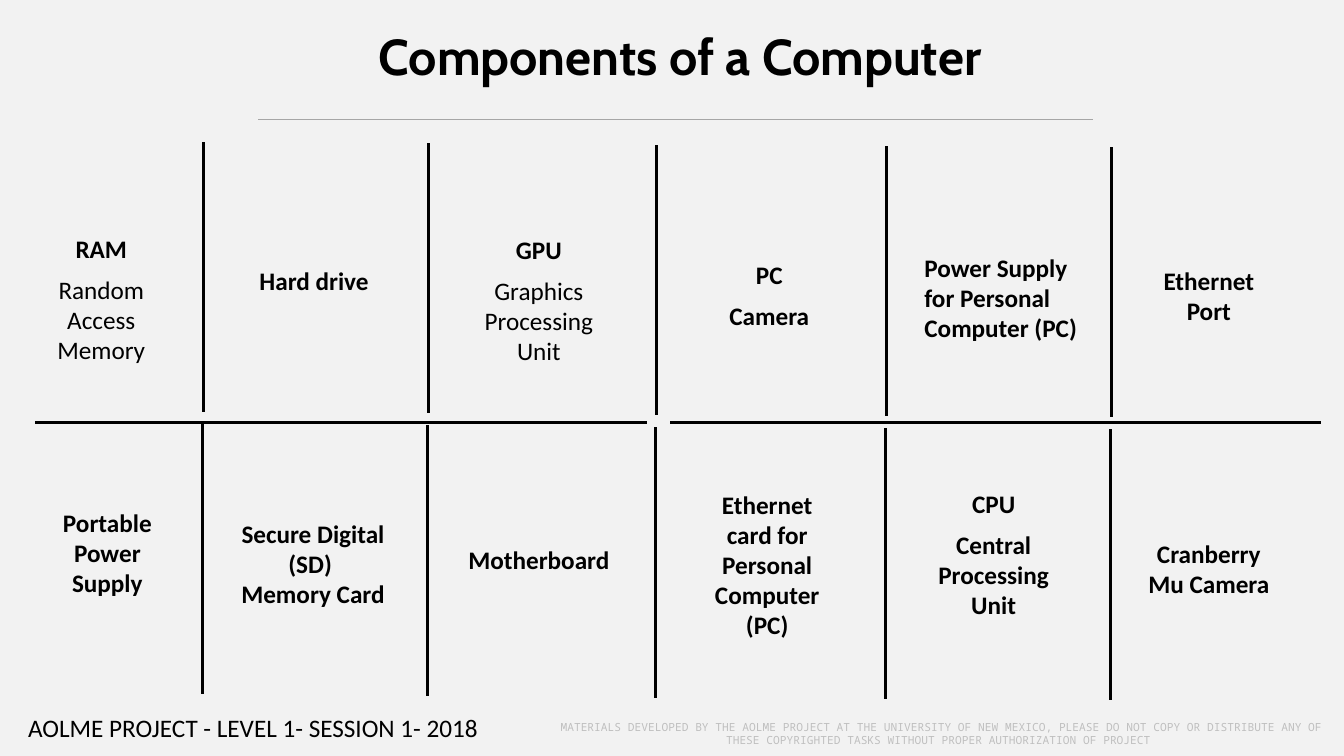
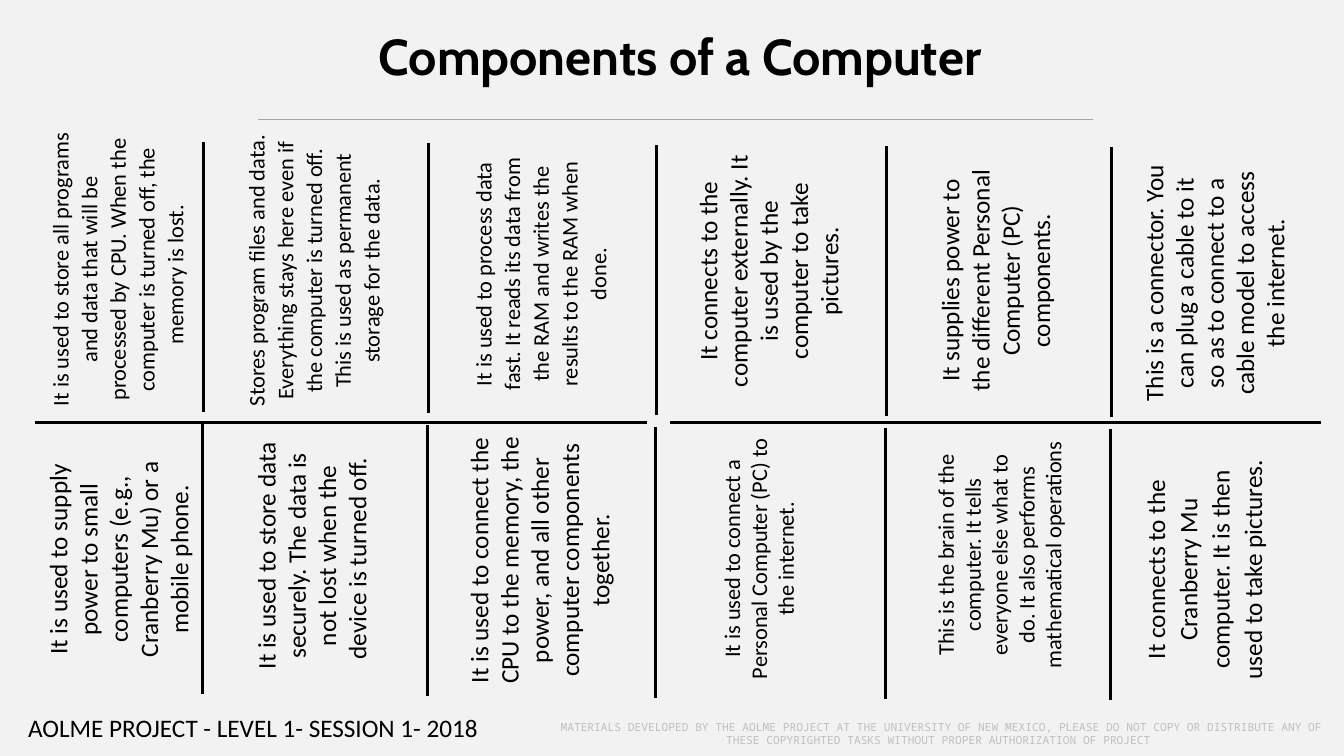
"""Builds two slides that name and describe the components of a computer."""
from pptx import Presentation
from pptx.dml.color import RGBColor
from pptx.enum.shapes import MSO_CONNECTOR
from pptx.enum.text import MSO_ANCHOR, MSO_AUTO_SIZE, PP_ALIGN
from pptx.oxml.ns import qn
from pptx.util import Emu, Pt
from lxml.etree import SubElement

BLACK = RGBColor(0x00, 0x00, 0x00)
RULE_GRAY = RGBColor(0xA6, 0xA6, 0xA6)
NOTICE_GRAY = RGBColor(0xBF, 0xBF, 0xBF)
PAPER = RGBColor(0xF2, 0xF2, 0xF2)
EMU_PER_PX = 9144
LEFT, CENTER = PP_ALIGN.LEFT, PP_ALIGN.CENTER

TITLE = "Components of a Computer"
FOOTER = "AOLME PROJECT - LEVEL 1- SESSION 1- 2018"
NOTICE = (
    "MATERIALS DEVELOPED BY THE AOLME PROJECT AT THE UNIVERSITY OF NEW MEXICO, "
    "PLEASE DO NOT COPY OR DISTRIBUTE ANY OF THESE COPYRIGHTED TASKS WITHOUT "
    "PROPER AUTHORIZATION OF PROJECT "
)
DIVIDERS = [(201, 141), (424, 142), (650, 144), (878, 145), (1101, 146)]
DIVIDER_LENGTH = 268
ROW_STEP = 280

NAMES = [
    ("RAM\nRandom Access Memory", (23, 224, 155, 145), {"spaced": True, "bold_lines": 1}),
    ("Hard drive", (247, 256, 129, 43), {"spaced": True, "wrap": False}),
    ("GPU\nGraphics Processing Unit", (461, 225, 147, 145), {"spaced": True, "bold_lines": 1}),
    ("PC\nCamera", (710, 250, 106, 84), {"spaced": True}),
    ("Power Supply for Personal Computer (PC)", (907, 245, 177, 101), {"align": LEFT}),
    ("Ethernet Port", (1142, 258, 114, 71), {}),
    ("Portable Power Supply", (39, 498, 135, 101), {}),
    ("Secure Digital\n(SD) \nMemory Card", (227, 509, 167, 101), {}),
    ("Motherboard", (454, 535, 161, 40), {"wrap": False}),
    ("Ethernet card for Personal Computer (PC)", (693, 480, 136, 162), {}),
    ("CPU\nCentral Processing Unit", (912, 477, 147, 145), {"spaced": True}),
    ("Cranberry Mu Camera", (1129, 529, 140, 71), {}),
]

USES = [
    ("It is used to store all programs and data that will be processed by CPU. "
     "When the computer is turned off, the memory is lost.  ",
     (-33, 191, 297, 153), {"size": 16, "spaced": True}),
    ("Stores program files and data. Everything stays here even if the computer "
     "is turned off. This is used as permanent storage for the data.",
     (160, 192, 300, 153), {"size": 16, "spaced": True}),
    ("It is used to process data fast. It reads its data from the RAM and writes "
     "the results to the RAM when done.",
     (396, 195, 279, 154), {"size": 16, "spaced": True}),
    ("It connects to the computer externally. It is used by the computer to take "
     "pictures.", (631, 188, 263, 162), {}),
    ("It supplies power to the different Personal Computer (PC) components.",
     (861, 213, 252, 131), {}),
    ("This is a connector. You can plug a cable to it so as to connect to a cable "
     "model to access the internet.", (1077, 200, 256, 162), {}),
    ("It is used to supply power to small computers (e.g., Cranberry Mu) or a "
     "mobile phone.", (3, 474, 230, 162), {}),
    ("It is used to store data securely. The data is not lost when the device is "
     "turned off. ", (186, 486, 246, 131), {}),
    ("It is used to connect the CPU to the memory, the power, and all other "
     "computer components together.", (400, 475, 271, 162), {}),
    ("It is used to connect a Personal Computer (PC) to the internet.",
     (613, 509, 279, 91), {"size": 16}),
    ("This is the brain of the computer. It tells everyone else what to do. It "
     "also performs mathematical operations", (866, 478, 251, 145), {"size": 16}),
    ("It connects to the Cranberry Mu computer. It is then used to take pictures.",
     (1067, 495, 253, 140), {"spaced": True}),
]


def px(length):
    return Emu(length * EMU_PER_PX)


class Deck:
    """Holds the shared style and the slide being drawn."""

    def __init__(self):
        self.presentation = Presentation()
        self.presentation.slide_width = px(1333)
        self.presentation.slide_height = px(750)
        fill = self.presentation.slide_master.background.fill
        fill.solid()
        fill.fore_color.rgb = PAPER
        self.slide = None

    def new_slide(self):
        self.slide = self.presentation.slides.add_slide(self.presentation.slide_layouts[5])
        self.title(TITLE)
        self.line((256, 119), (1084, 119), RULE_GRAY, 0.75)
        self.line((35, 419), (642, 419))
        self.line((665, 419), (1310, 419))
        for x, top in DIVIDERS:
            self.line((x + 1, top), (x + 1, top + DIVIDER_LENGTH))
            self.line((x, top + ROW_STEP), (x, top + ROW_STEP + DIVIDER_LENGTH))
        self.text(FOOTER, (18, 702, 478, 40), align=LEFT, wrap=False)
        self.text(NOTICE, (539, 709, 791, 37), size=8, font="Noto Sans Mono",
                  color=NOTICE_GRAY, anchor=MSO_ANCHOR.MIDDLE)

    def title(self, text):
        shape = self.slide.shapes.title
        shape.left, shape.top, shape.width, shape.height = map(px, (23, 20, 1303, 71))
        self.fill_text(shape.text_frame, text, size=36, font="Cabin", bold_lines=1)

    def line(self, start, end, color=BLACK, weight=2.25):
        connector = self.slide.shapes.add_connector(
            MSO_CONNECTOR.STRAIGHT, *map(px, start + end))
        connector.line.color.rgb = color
        connector.line.width = Pt(weight)
        SubElement(connector._element.spPr, qn("a:effectLst"))

    def text(self, text, box, rotation=0, **style):
        shape = self.slide.shapes.add_textbox(*map(px, box))
        shape.rotation = rotation
        self.fill_text(shape.text_frame, text, **style)

    def fill_text(self, text_frame, text, size=18, font="Calibri", color=BLACK, bold_lines=0,
                  align=CENTER, anchor=MSO_ANCHOR.TOP, spaced=False, wrap=True):
        text_frame.text = text
        text_frame.word_wrap = wrap
        text_frame.auto_size = MSO_AUTO_SIZE.NONE
        text_frame.vertical_anchor = anchor
        for index, paragraph in enumerate(text_frame.paragraphs):
            paragraph.alignment = align
            if spaced and index == 0:
                paragraph.line_spacing = 1.07
                paragraph.space_after = Pt(8)
            for run in paragraph.runs:
                run.font.name = font
                run.font.size = Pt(size)
                run.font.bold = index < bold_lines
                run.font.color.rgb = color


def main():
    deck = Deck()
    deck.new_slide()
    for text, box, style in NAMES:
        deck.text(text, box, **{"bold_lines": 3, **style})
    deck.new_slide()
    for text, box, style in USES:
        deck.text(text, box, rotation=270, **style)
    deck.presentation.save("out.pptx")


if __name__ == "__main__":
    main()
